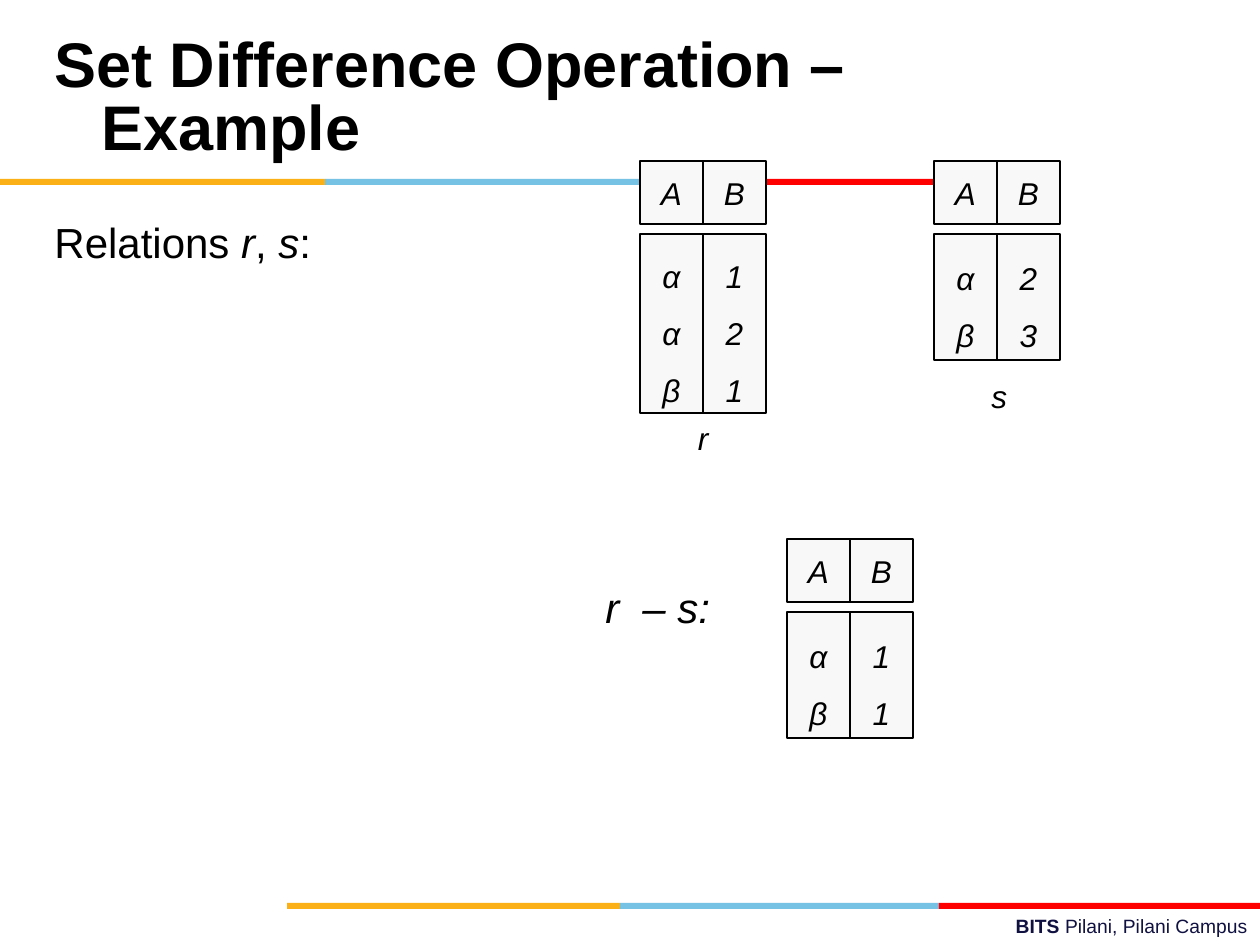
from pptx import Presentation
from pptx import util as u
from pptx.dml.color import RGBColor
from pptx.enum import shapes, text
from pptx.oxml import parse_xml
from pptx.oxml.ns import nsdecls

HUES = {"gold": "FCB017", "blue": "76C2E5", "red": "FF0000",
        "cell": "F8F8F8", "ink": "000000", "navy": "101141"}
LEFT, MID, RIGHT = text.PP_ALIGN.LEFT, text.PP_ALIGN.CENTER, text.PP_ALIGN.RIGHT
TOP, CORE = text.MSO_ANCHOR.TOP, text.MSO_ANCHOR.MIDDLE


def px(n):
    """Turn pixels into EMU."""
    return u.Emu(round(n * 914400 / 126))


def hue(name):
    """Give the colour of that name."""
    return RGBColor.from_string(HUES[name])


def write(shape, lines, size=18, color="ink", align=MID, anchor=CORE,
          wrap=False, space=None, hang=0, tab=0):
    """Fill a shape with lines, each a list of (text, style letters) runs."""
    frame = shape.text_frame
    frame.word_wrap = wrap
    frame.vertical_anchor = anchor
    for i, line in enumerate(lines):
        para = frame.paragraphs[0] if i == 0 else frame.add_paragraph()
        para.alignment = align
        if space:
            para.line_spacing = space
        props = para._p.get_or_add_pPr()
        if hang:
            props.set("marL", str(px(hang)))
            props.set("indent", str(-px(hang)))
        if tab:
            props.append(parse_xml(
                f'<a:tabLst {nsdecls("a")}><a:tab pos="{px(tab)}" algn="l"/></a:tabLst>'))
        for words, style in line:
            run = para.add_run()
            run.text = words
            font = run.font
            font.name, font.size = "Arial", u.Pt(size)
            font.bold, font.italic = "b" in style, "i" in style
            font.color.rgb = hue(color)


def label(slide, box, lines, **form):
    """Add a text box."""
    shape = slide.shapes.add_textbox(*map(px, box))
    write(shape, lines, **form)


def block(slide, box, fill, line=None):
    """Add a plain rectangle."""
    shape = slide.shapes.add_shape(shapes.MSO_SHAPE.RECTANGLE, *map(px, box))
    shape.shadow.inherit = False
    shape.fill.solid()
    shape.fill.fore_color.rgb = hue(fill)
    if line:
        shape.line.color.rgb = hue(line)
        shape.line.width = u.Pt(0.75)
    else:
        shape.line.fill.background()
    return shape


def stripe(slide, top, edges):
    """Draw the three-colour rule between the given edges."""
    for name, left, right in zip(("gold", "blue", "red"), edges, edges[1:]):
        block(slide, (left, top, right - left, 6), name)


def table(slide, left, top, high, rows, name=None, drop=0):
    """Draw a relation as a header and a body for each column."""
    side, gap = 63, 10
    for i, (head, vals) in enumerate(zip("AB", zip(*rows))):
        x = left + i * side
        cell = block(slide, (x, top, side, side), "cell", "ink")
        write(cell, [[(head, "i")]])
        body = block(slide, (x, top + side + gap, side, high), "cell", "ink")
        write(body, [[(val, "i")] for val in vals], space=1.5)
    if name:
        base = top + side + gap + high + drop
        label(slide, (left + side - 18, base, 36, 50), [[(name, "i")]])


def header(slide, box):
    """Place the title and the rule under it."""
    left, top, wide, high = box
    label(slide, box, [[("Set Difference Operation – Example", "b")]], size=36,
          align=LEFT, wrap=True, space=u.Pt(36), hang=47)
    stripe(slide, top + high, (0, 325, 645, 966))


def footer(slide, box):
    """Place the bottom rule and the campus line."""
    left, top, wide, high = box
    stripe(slide, top, (left, left + 333, left + 652, left + wide))
    label(slide, (left, top + 5, wide, high - 5),
          [[("BITS ", "b"), ("Pilani, Pilani Campus", "")]],
          size=11, color="navy", align=RIGHT, anchor=TOP, wrap=True)


def main():
    """Build the slide."""
    deck = Presentation()
    deck.slide_width, deck.slide_height = px(1260), px(945)
    slide = deck.slides.add_slide(deck.slide_layouts[6])
    footer(slide, (287, 903, 973, 42))
    header(slide, (42, 21, 872, 158))
    label(slide, (42, 210, 520, 62),
          [[("Relations ", ""), ("r", "i"), (", ", ""), ("s", "i"), (":", "")]],
          size=24, align=LEFT, anchor=TOP, wrap=True)
    label(slide, (593, 575, 160, 62), [[("r\t– s:", "i")]],
          size=24, align=LEFT, anchor=TOP, wrap=True, tab=37)
    table(slide, 640, 161, 179, ("α1", "α2", "β1"), "r")
    table(slide, 934, 161, 126, ("α2", "β3"), "s", drop=11)
    table(slide, 787, 539, 126, ("α1", "β1"))
    deck.save("out.pptx")


if __name__ == "__main__":
    main()
